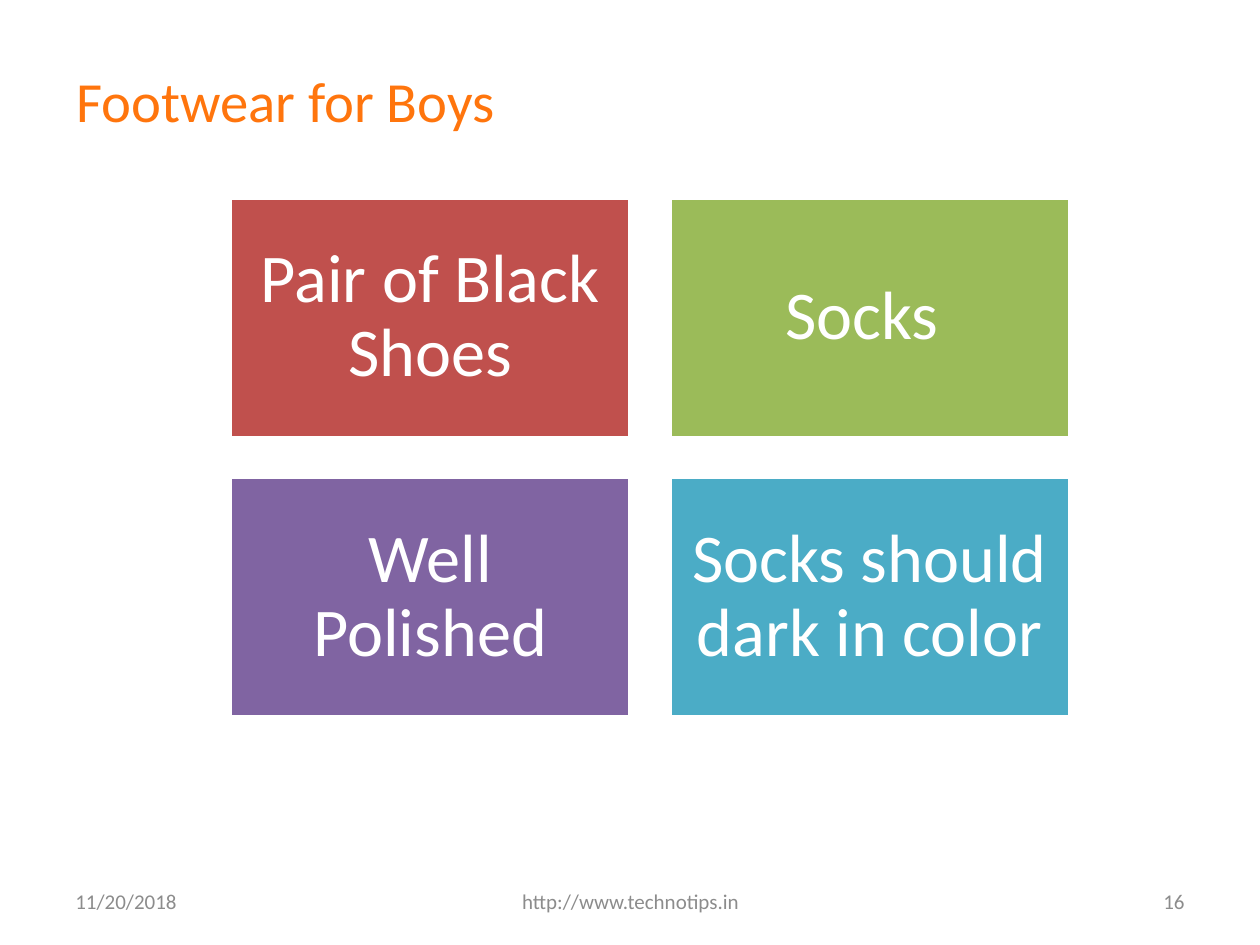
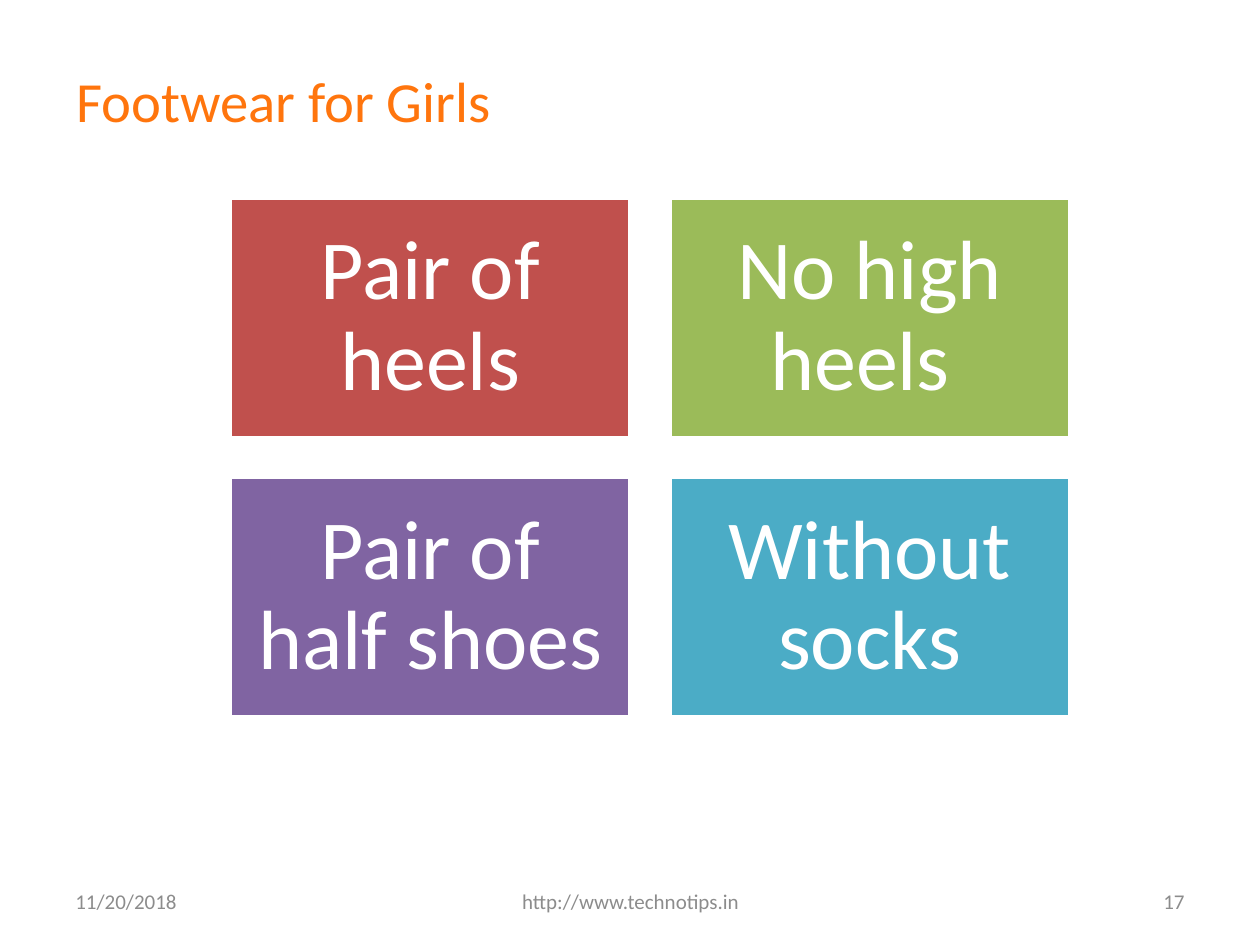
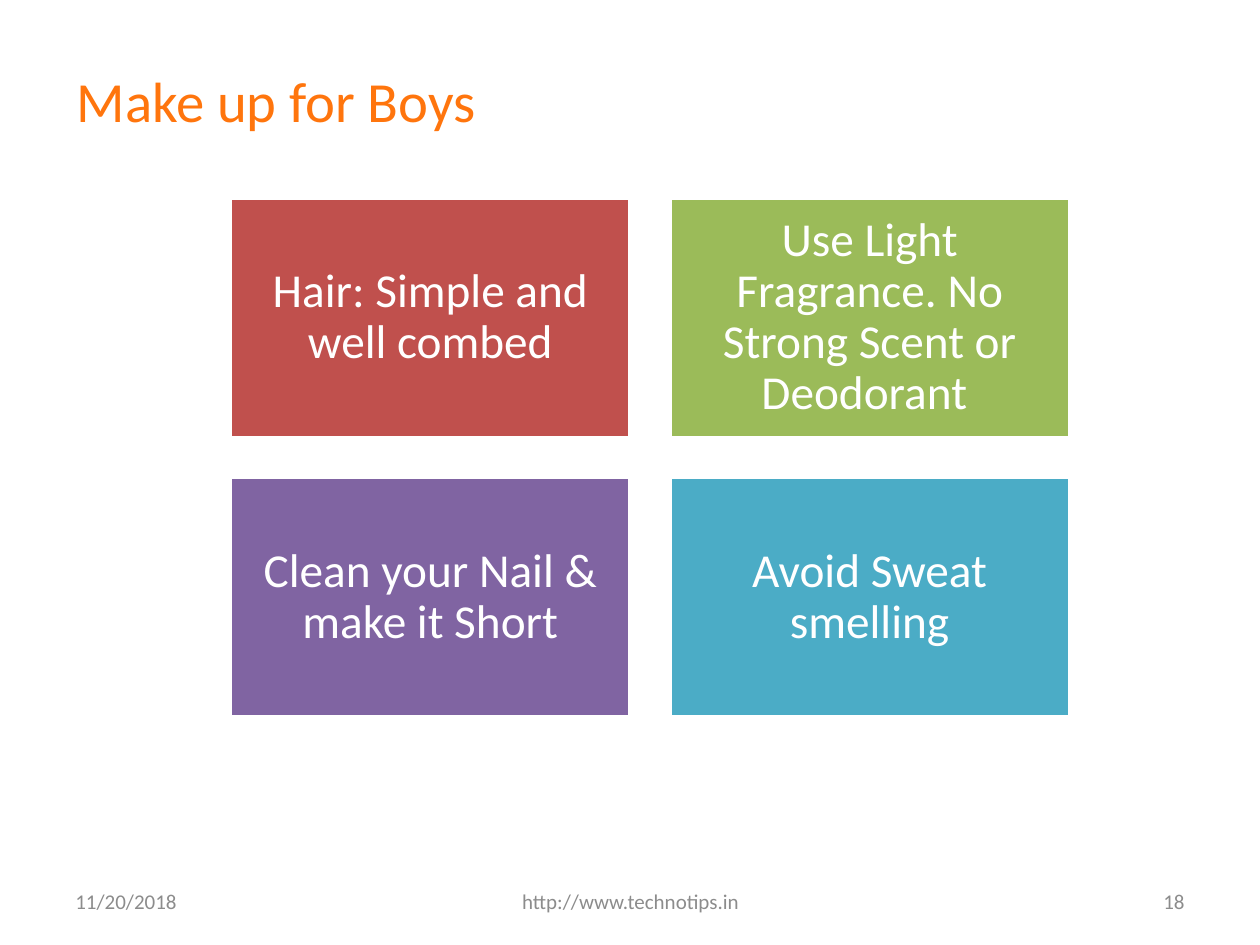
"""Build three dress-code slides, each with a title, a two-by-two tile grid and a footer."""
from dataclasses import dataclass
from typing import NamedTuple

from pptx import Presentation
from pptx.dml.color import RGBColor
from pptx.enum.shapes import MSO_SHAPE
from pptx.enum.text import MSO_ANCHOR, PP_ALIGN
from pptx.presentation import Presentation as Deck
from pptx.shapes.autoshape import Shape
from pptx.slide import Slide
from pptx.util import Emu, Inches, Pt

RECTANGLE = MSO_SHAPE.RECTANGLE
MIDDLE = MSO_ANCHOR.MIDDLE
LEFT, CENTER, RIGHT = PP_ALIGN.LEFT, PP_ALIGN.CENTER, PP_ALIGN.RIGHT

SLIDE_WIDTH, SLIDE_HEIGHT = Inches(10), Inches(7.5)
BLANK_LAYOUT = 6
FIRST_NUMBER = 16
DATE = "11/20/2018"
WEB_ADDRESS = "http://www.technotips.in"


@dataclass(frozen=True)
class Theme:
    """Colours and type sizes of the deck."""

    font: str = "Calibri"
    background: str = "FFFFFF"
    title: str = "FF750D"
    footer: str = "8C8C8C"
    tile_text: str = "FFFFFF"
    tile_fills: tuple[str, ...] = ("C0504D", "9BBB59", "8064A2", "4BACC6")
    title_size: float = 32.4
    footer_size: float = 12
    tile_border: float = 2
    tile_line_spacing: float = 0.9


class Box(NamedTuple):
    """A place on the slide in inches."""

    left: float
    top: float
    width: float
    height: float

    def lengths(self) -> tuple[Emu, ...]:
        """Return the place in slide units."""
        return tuple(Inches(length) for length in self)


class TextStyle(NamedTuple):
    """The look of one paragraph."""

    size: float
    color: str
    alignment: PP_ALIGN = LEFT
    line_spacing: float = 1.0


@dataclass(frozen=True)
class TileGrid:
    """A grid whose tile height and gap are shares of the tile width."""

    left: float = 1.83
    top: float = 1.57
    tile_width: float = 3.17
    height_share: float = 0.6
    gap_share: float = 0.1
    columns: int = 2

    def tile(self, index: int) -> Box:
        """Return the place of a tile, counted row by row."""
        row, column = divmod(index, self.columns)
        height = self.tile_width * self.height_share
        gap = self.tile_width * self.gap_share
        return Box(self.left + column * (self.tile_width + gap),
                   self.top + row * (height + gap), self.tile_width, height)


class Topic(NamedTuple):
    """The content of one slide."""

    title: str
    tile_size: float
    tile_inset: float
    tiles: tuple[str, ...]


THEME = Theme()
GRID = TileGrid()
TITLE_BOX = Box(0.51, 0.5, 9, 0.58)
DATE_BOX = Box(0.5, 6.95, 2.33, 0.4)
ADDRESS_BOX = Box(3.42, 6.95, 3.17, 0.4)
NUMBER_BOX = Box(7.17, 6.95, 2.33, 0.4)

TOPICS = (
    Topic("Footwear for Boys", 39, 0.16,
          ("Pair of Black Shoes", "Socks ", "Well Polished", "Socks should dark in color")),
    Topic("Footwear for Girls", 48, 0.2,
          ("Pair of heels", "No high heels ", "Pair of half shoes", "Without socks")),
    Topic("Make up for Boys", 27, 0.11,
          ("Hair: Simple and well combed",
           "Use Light Fragrance. No Strong Scent or Deodorant ",
           "Clean your Nail & make it Short", "Avoid Sweat smelling")),
)


def write(shape: Shape, text: str, style: TextStyle) -> None:
    """Set one vertically centred paragraph in a shape."""
    frame = shape.text_frame
    frame.word_wrap = True
    frame.vertical_anchor = MIDDLE
    paragraph = frame.paragraphs[0]
    paragraph.text = text
    paragraph.alignment = style.alignment
    paragraph.line_spacing = style.line_spacing
    paragraph.font.name = THEME.font
    paragraph.font.size = Pt(style.size)
    paragraph.font.color.rgb = RGBColor.from_string(style.color)


def add_label(slide: Slide, box: Box, text: str, style: TextStyle) -> None:
    """Add a text box."""
    write(slide.shapes.add_textbox(*box.lengths()), text, style)


def add_tile(slide: Slide, box: Box, text: str, fill: str, topic: Topic) -> None:
    """Add a filled tile with its caption."""
    tile = slide.shapes.add_shape(RECTANGLE, *box.lengths())
    tile.shadow.inherit = False
    tile.fill.solid()
    tile.fill.fore_color.rgb = RGBColor.from_string(fill)
    tile.line.color.rgb = RGBColor.from_string(THEME.background)
    tile.line.width = Pt(THEME.tile_border)
    frame = tile.text_frame
    frame.margin_left = frame.margin_right = Inches(topic.tile_inset)
    frame.margin_top = frame.margin_bottom = Inches(topic.tile_inset)
    write(tile, text, TextStyle(topic.tile_size, THEME.tile_text, CENTER,
                                THEME.tile_line_spacing))


def add_footer(slide: Slide, number: int) -> None:
    """Add the web address, date and slide number."""
    for box, text, alignment in ((ADDRESS_BOX, WEB_ADDRESS, CENTER),
                                 (DATE_BOX, DATE, LEFT),
                                 (NUMBER_BOX, str(number), RIGHT)):
        add_label(slide, box, text, TextStyle(THEME.footer_size, THEME.footer, alignment))


def add_topic(presentation: Deck, topic: Topic, number: int) -> None:
    """Add one complete slide."""
    slide = presentation.slides.add_slide(presentation.slide_layouts[BLANK_LAYOUT])
    slide.background.fill.solid()
    slide.background.fill.fore_color.rgb = RGBColor.from_string(THEME.background)
    add_label(slide, TITLE_BOX, topic.title, TextStyle(THEME.title_size, THEME.title))
    add_footer(slide, number)
    for index, (text, fill) in enumerate(zip(topic.tiles, THEME.tile_fills)):
        add_tile(slide, GRID.tile(index), text, fill, topic)


def main() -> None:
    """Build and save the deck."""
    presentation = Presentation()
    presentation.slide_width, presentation.slide_height = SLIDE_WIDTH, SLIDE_HEIGHT
    for number, topic in enumerate(TOPICS, FIRST_NUMBER):
        add_topic(presentation, topic, number)
    presentation.save("out.pptx")


if __name__ == "__main__":
    main()
